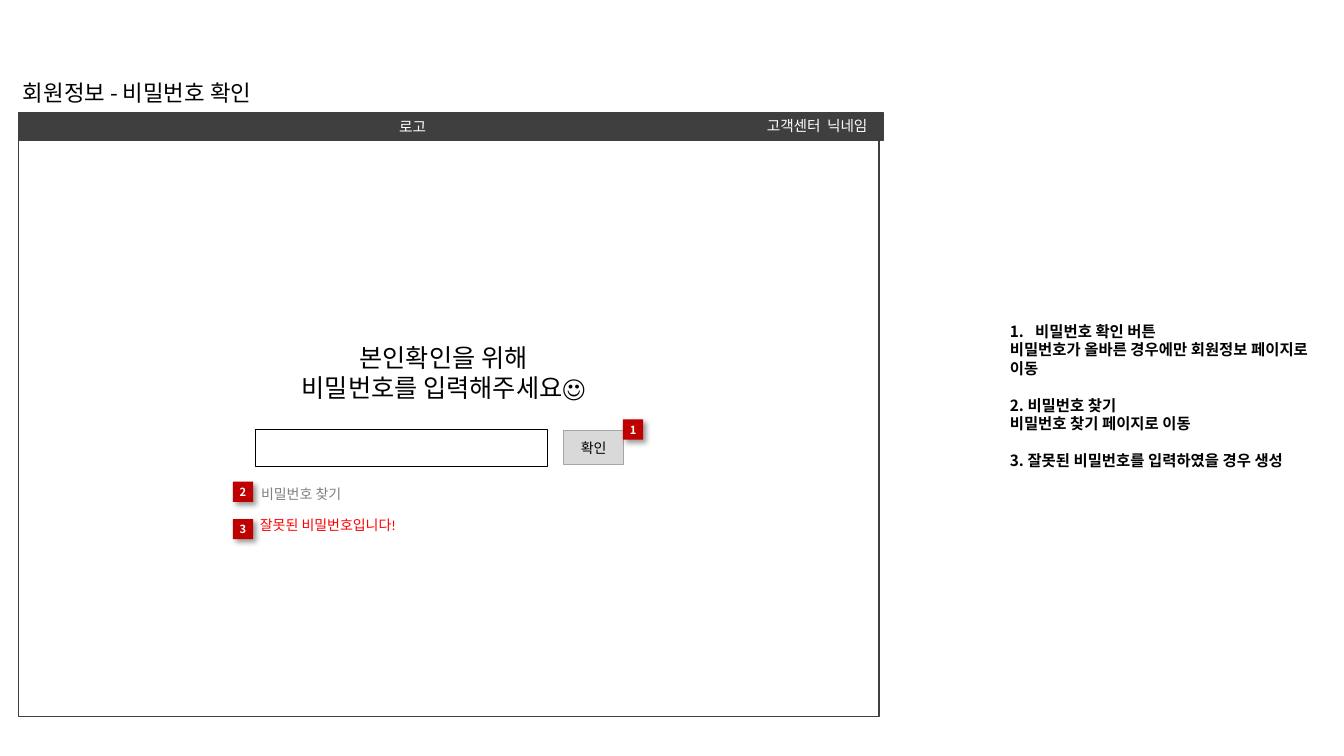
import pptx
import pptx.util
import pptx.dml.color
import pptx.enum.shapes
import pptx.enum.text
import pptx.oxml
import pptx.oxml.ns

Cm = pptx.util.Cm
Pt = pptx.util.Pt
RGBColor = pptx.dml.color.RGBColor
PP_ALIGN = pptx.enum.text.PP_ALIGN
MSO_ANCHOR = pptx.enum.text.MSO_ANCHOR
MSO_AUTO_SIZE = pptx.enum.text.MSO_AUTO_SIZE

BLACK = RGBColor(0x00, 0x00, 0x00)
WHITE = RGBColor(0xFF, 0xFF, 0xFF)
CHARCOAL = RGBColor(0x3F, 0x3F, 0x3F)
GRAY = RGBColor(0x80, 0x80, 0x80)
BUTTON_FILL = RGBColor(0xD9, 0xD9, 0xD9)
BUTTON_LINE = RGBColor(0xA6, 0xA6, 0xA6)
BADGE_RED = RGBColor(0xC0, 0x00, 0x00)
ERROR_RED = RGBColor(0xFF, 0x00, 0x00)

BADGE_SIDE = 0.51
BADGE_SHADOW = (
    f'<a:effectLst {pptx.oxml.ns.nsdecls("a")}>'
    '<a:outerShdw blurRad="50800" dist="38100" dir="2700000" algn="tl" rotWithShape="0">'
    '<a:srgbClr val="000000"><a:alpha val="40000"/></a:srgbClr>'
    '</a:outerShdw></a:effectLst>'
)


class Wireframe:
    font = "Noto Sans CJK KR"
    line_ratio = 1.2

    def __init__(self, slide):
        self.slide = slide

    def fill_text(self, box, lines, size, color, align=PP_ALIGN.LEFT, bold=False, font=None):
        frame = box.text_frame
        frame.text = "\n".join(lines)
        for para in frame.paragraphs:
            para.alignment = align
            para.line_spacing = Pt(size * self.line_ratio)
            for span in para.runs:
                span.font.size = Pt(size)
                span.font.bold = bold
                span.font.name = font or self.font
                span.font.color.rgb = color
                east_asian = pptx.oxml.parse_xml(
                    f'<a:ea {pptx.oxml.ns.nsdecls("a")} typeface="{self.font}"/>')
                span.font._element.find(pptx.oxml.ns.qn("a:latin")).addnext(east_asian)
        return frame

    def center_tight(self, frame, wrap=True):
        frame.word_wrap = wrap
        frame.vertical_anchor = MSO_ANCHOR.MIDDLE
        frame.margin_left = frame.margin_right = 0
        frame.margin_top = frame.margin_bottom = 0

    def rectangle(self, left, top, width, height, fill=None, line=None, weight=0.75):
        box = self.slide.shapes.add_shape(
            pptx.enum.shapes.MSO_SHAPE.RECTANGLE, Cm(left), Cm(top), Cm(width), Cm(height))
        box.shadow.inherit = False
        if fill is None:
            box.fill.background()
        else:
            box.fill.solid()
            box.fill.fore_color.rgb = fill
        if line is None:
            box.line.fill.background()
        else:
            box.line.color.rgb = line
            box.line.width = Pt(weight)
        return box

    def label(self, left, top, width, height, lines, size, color, **style):
        box = self.slide.shapes.add_textbox(Cm(left), Cm(top), Cm(width), Cm(height))
        frame = self.fill_text(box, lines, size, color, **style)
        self.center_tight(frame)
        return frame

    def text(self, left, top, width, height, lines, size, color, wrap=True, **style):
        box = self.slide.shapes.add_textbox(Cm(left), Cm(top), Cm(width), Cm(height))
        frame = self.fill_text(box, lines, size, color, **style)
        frame.word_wrap = wrap
        frame.auto_size = MSO_AUTO_SIZE.SHAPE_TO_FIT_TEXT

    def button(self, left, top, width, height, caption):
        box = self.rectangle(left, top, width, height, BUTTON_FILL, BUTTON_LINE)
        self.center_tight(self.fill_text(box, [caption], 10, BLACK, PP_ALIGN.CENTER))

    def badge(self, left, top, number):
        box = self.rectangle(left, top, BADGE_SIDE, BADGE_SIDE, BADGE_RED)
        properties = box._element.spPr
        properties.replace(properties.find(pptx.oxml.ns.qn("a:effectLst")),
                           pptx.oxml.parse_xml(BADGE_SHADOW))
        frame = self.fill_text(box, [str(number)], 8, WHITE, PP_ALIGN.CENTER, bold=True)
        self.center_tight(frame, wrap=False)

    def notes(self, left, top, width, height, groups):
        size = 11
        lines = [line for group in groups for line in group]
        frame = self.label(left, top, width, height, lines, size, BLACK, bold=True)
        start = 0
        for group in groups[:-1]:
            start += len(group)
            frame.paragraphs[start].space_before = Pt(size * self.line_ratio)
        numbered = frame.paragraphs[0]._p.get_or_add_pPr()
        numbered.set("marL", str(int(Cm(0.64))))
        numbered.set("indent", str(-int(Cm(0.64))))
        numbered.append(pptx.oxml.parse_xml(
            f'<a:buFont {pptx.oxml.ns.nsdecls("a")} typeface="+mj-lt"/>'))
        numbered.append(pptx.oxml.parse_xml(
            f'<a:buAutoNum {pptx.oxml.ns.nsdecls("a")} type="arabicPeriod"/>'))


def main():
    deck = pptx.Presentation()
    deck.slide_width = Cm(33.87)
    deck.slide_height = Cm(19.05)
    page = Wireframe(deck.slides.add_slide(deck.slide_layouts[6]))

    page.rectangle(0.46, 2.84, 21.69, 15.21, WHITE, CHARCOAL, 1)
    page.rectangle(0.5, 2.84, 21.75, 0.71, CHARCOAL, CHARCOAL, 1)
    page.label(9.5, 2.84, 1.8, 0.71, ["로고"], 10.5, WHITE, align=PP_ALIGN.CENTER)
    page.label(19.02, 2.8, 3.15, 0.71, ["고객센터  닉네임"], 10.5, WHITE, align=PP_ALIGN.CENTER)
    page.text(0.33, 1.86, 6.86, 0.94, ["회원정보 - 비밀번호 확인"], 16, BLACK, wrap=False)

    page.text(6.78, 8.5, 8.8, 1.8, ["본인확인을 위해", "비밀번호를 입력해주세요☺"],
              18, BLACK, align=PP_ALIGN.CENTER)
    page.rectangle(6.44, 10.83, 7.37, 0.92, line=BLACK)
    page.button(14.21, 10.85, 1.5, 0.85, "확인")

    page.notes(25.45, 2.65, 7.55, 14.65, [
        ["비밀번호 확인 버튼", "비밀번호가 올바른 경우에만 회원정보 페이지로 이동"],
        ["2. 비밀번호 찾기", "비밀번호 찾기 페이지로 이동"],
        ["3. 잘못된 비밀번호를 입력하였을 경우 생성"],
    ])

    page.text(6.3, 12.9, 7.42, 1.12, ["잘못된 비밀번호입니다!"], 10, ERROR_RED, font="Calibri")
    page.text(6.33, 12.1, 5.15, 0.68, ["비밀번호 찾기"], 10, GRAY)
    badges = [(15.7, 10.57), (5.87, 12.14), (5.87, 13.08)]
    for number, (left, top) in enumerate(badges, 1):
        page.badge(left, top, number)

    deck.save("out.pptx")


if __name__ == "__main__":
    main()
